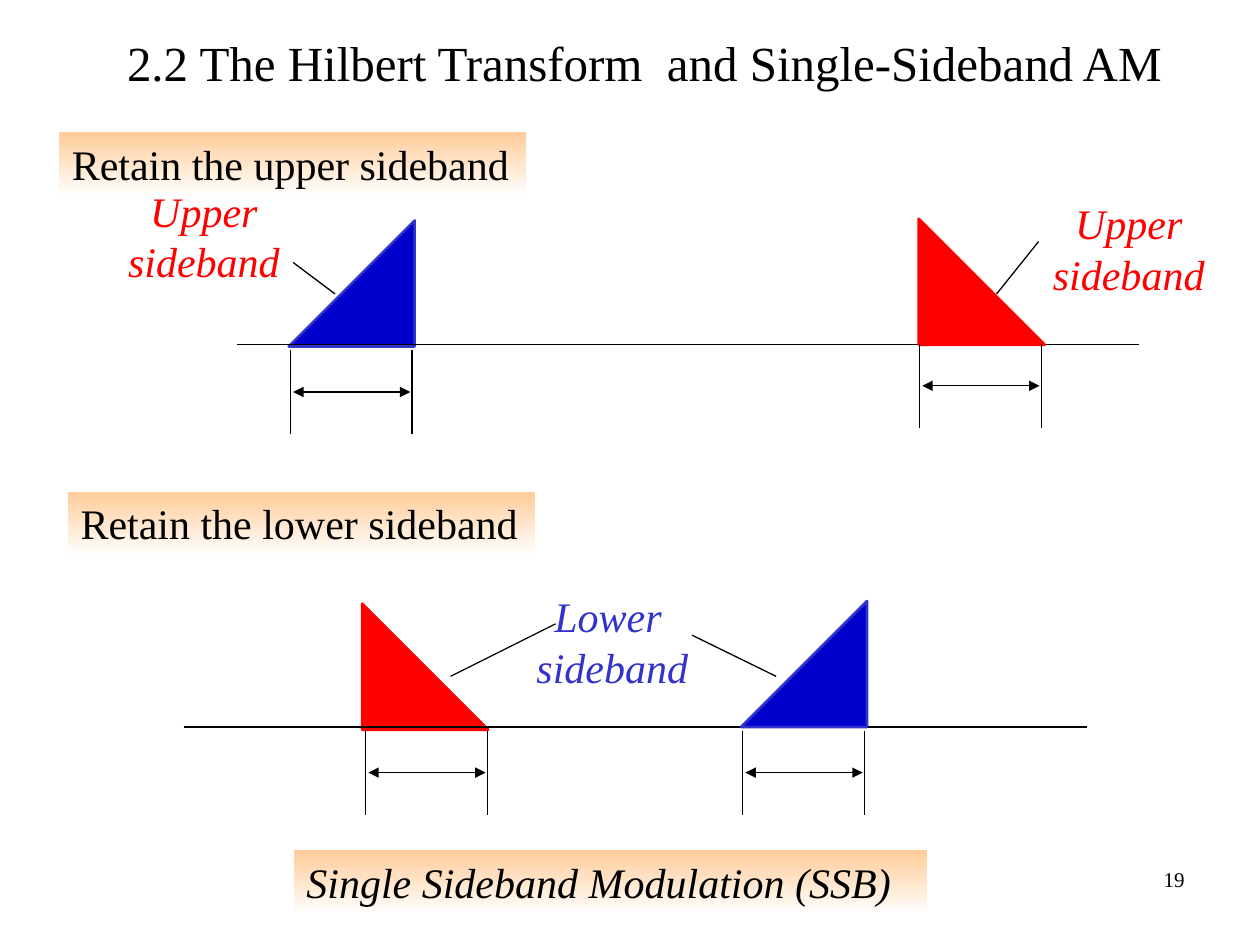
import pptx
import pptx.util
import pptx.dml.color
import pptx.enum.shapes
import pptx.enum.text
import pptx.oxml.ns
import lxml.etree

Pt = pptx.util.Pt
RGB = pptx.dml.color.RGBColor
SHAPE = pptx.enum.shapes.MSO_SHAPE
ALIGN = pptx.enum.text.PP_ALIGN
qn = pptx.oxml.ns.qn

BLACK = RGB(0x00, 0x00, 0x00)
WHITE = RGB(0xFF, 0xFF, 0xFF)
RED = RGB(0xFF, 0x00, 0x00)
BLUE = RGB(0x00, 0x00, 0xCC)
BLUE_EDGE = RGB(0x33, 0x33, 0xCC)
PEACH = RGB(0xFF, 0xCC, 0x99)
FONT = "Times New Roman"


def write(sp, text, size=24, color=BLACK, italic=False,
          aligns=(ALIGN.LEFT,), wrap=True):
    """Fill a shape with one paragraph per line of text, one alignment each."""
    tf = sp.text_frame
    tf.word_wrap = wrap
    tf.vertical_anchor = pptx.enum.text.MSO_ANCHOR.TOP
    for i, (line, align) in enumerate(zip(text.split("\n"), aligns)):
        p = tf.paragraphs[0] if i == 0 else tf.add_paragraph()
        p.alignment = align
        r = p.add_run()
        r.text = line
        r.font.name, r.font.size = FONT, Pt(size)
        r.font.italic = italic
        r.font.color.rgb = color


class Sketch:
    line_width = 0.75
    side = 72
    band_width, band_height = 69.5, 48

    def __init__(self, s):
        self.s = s

    def text(self, x, y, w, h, text, **fmt):
        sp = self.s.shapes.add_textbox(Pt(x), Pt(y), Pt(w), Pt(h))
        write(sp, text, **fmt)

    def shape(self, kind, x, y, w, h):
        sp = self.s.shapes.add_shape(kind, Pt(x), Pt(y), Pt(w), Pt(h))
        sp.shadow.inherit = False
        return sp

    def banner(self, x, y, w, text, **fmt):
        sp = self.shape(SHAPE.RECTANGLE, x, y, w, 36.5)
        sp.line.fill.background()
        sp.fill.gradient()
        sp.fill.gradient_angle = 270
        for stop, color, at in zip(sp.fill.gradient_stops, (PEACH, WHITE), (0, 1)):
            stop.color.rgb, stop.position = color, at
        sp.text_frame.margin_right = 0
        write(sp, text, **fmt)

    def sideband(self, x, y, fill, edge, flip=False):
        sp = self.shape(SHAPE.RIGHT_TRIANGLE, x, y, self.side, self.side)
        sp.fill.solid()
        sp.fill.fore_color.rgb = fill
        sp.line.color.rgb, sp.line.width = edge, Pt(1.5)
        if flip:
            sp._element.spPr.find(qn("a:xfrm")).set("flipH", "1")

    def line(self, x1, y1, x2, y2, arrows=False):
        c = self.s.shapes.add_connector(
            pptx.enum.shapes.MSO_CONNECTOR.STRAIGHT, Pt(x1), Pt(y1), Pt(x2), Pt(y2))
        c.line.color.rgb, c.line.width = BLACK, Pt(self.line_width)
        if arrows:
            ln = c.line._get_or_add_ln()
            for end in ("a:headEnd", "a:tailEnd"):
                lxml.etree.SubElement(ln, qn(end), type="triangle")
        lxml.etree.SubElement(c._element.spPr, qn("a:effectLst"))

    def bandwidth(self, x, y):
        """Two extension lines with a double arrow between them."""
        right = x + self.band_width
        for edge in (x, right):
            self.line(edge, y, edge, y + self.band_height)
        middle = y + self.band_height / 2
        self.line(x + 1.5, middle, right - 1, middle, arrows=True)


def main():
    prs = pptx.Presentation()
    prs.slide_width, prs.slide_height = Pt(720), Pt(540)
    d = Sketch(prs.slides.add_slide(prs.slide_layouts[6]))
    centred = (ALIGN.CENTER, ALIGN.CENTER)

    d.text(65.5, 15, 624, 44,
           "2.2 The Hilbert Transform  and Single-Sideband AM", size=28)
    d.text(516, 491.5, 168, 37.5, "19", size=12, aligns=(ALIGN.RIGHT,))

    # Upper sideband kept
    d.banner(34, 75.5, 266.5, "Retain the upper sideband")
    d.sideband(165, 126, BLUE, BLUE_EDGE, flip=True)
    d.line(135.5, 197, 651, 197)
    d.sideband(525, 125, RED, RED)
    for x, y in ((65.5, 102.5), (594, 109.5)):
        d.text(x, y, 102, 65.5, "Upper\nsideband", color=RED, italic=True,
               aligns=centred, wrap=False)
    d.line(167.5, 150, 191.5, 168)
    d.line(593.5, 138, 569.5, 168)
    d.bandwidth(166, 200)
    d.bandwidth(525.5, 196.5)

    # Lower sideband kept
    d.banner(39, 281, 266.5, "Retain the lower sideband")
    d.sideband(207, 345, RED, RED)
    d.line(105, 415.5, 621, 415.5)
    d.sideband(423.5, 343.5, BLUE, BLUE_EDGE, flip=True)
    d.text(299.5, 334, 102, 65.5, "Lower \nsideband", color=BLUE_EDGE,
           italic=True, aligns=(ALIGN.CENTER, ALIGN.LEFT))
    d.line(395.5, 363, 443.5, 386.5)
    d.line(317.5, 356.5, 257.5, 386.5)
    for x in (209, 424.5):
        d.bandwidth(x, 417.5)

    d.banner(168, 486, 362, "Single Sideband Modulation (SSB)", italic=True)
    prs.save("out.pptx")


if __name__ == "__main__":
    main()
